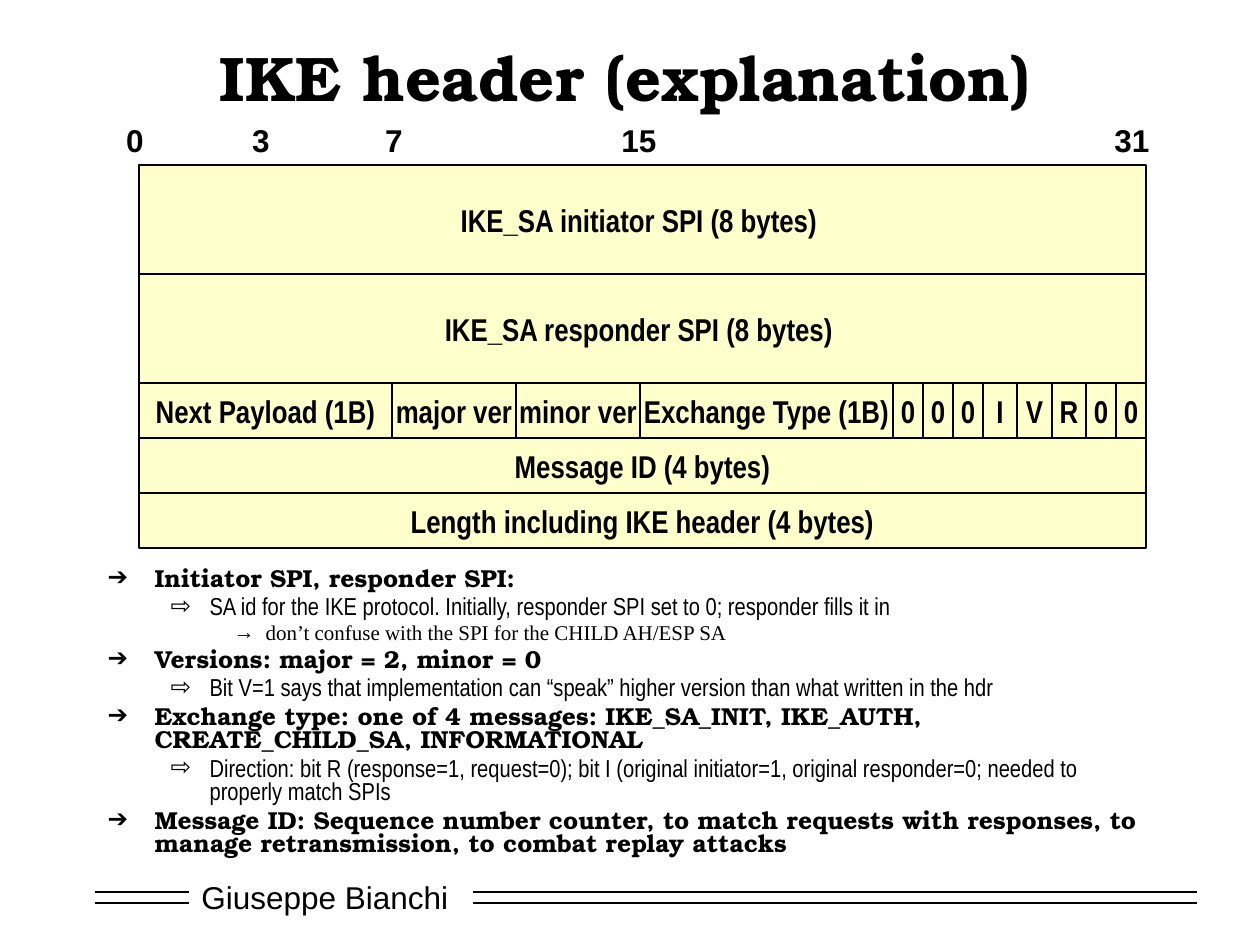
from dataclasses import dataclass
from itertools import accumulate

from lxml import etree
from pptx import Presentation
from pptx.dml.color import RGBColor
from pptx.enum.shapes import MSO_CONNECTOR, MSO_SHAPE
from pptx.enum.text import MSO_ANCHOR, MSO_AUTO_SIZE, PP_ALIGN
from pptx.oxml.ns import qn
from pptx.util import Emu, Pt

RECT = MSO_SHAPE.RECTANGLE
LINE = MSO_CONNECTOR.STRAIGHT
MID, TOP = MSO_ANCHOR.MIDDLE, MSO_ANCHOR.TOP
CENTER, LEFT = PP_ALIGN.CENTER, PP_ALIGN.LEFT
FIXED = MSO_AUTO_SIZE.NONE
SCALE = 914400 / 126


@dataclass(frozen=True)
class Theme:
    ink: str = "000000"
    paper: str = "FFFFFF"
    cell: str = "FFFF99"
    alpha: int = 50000
    serif: str = "TeX Gyre Bonum"
    sans: str = "Arial"
    narrow: str = "Arial Narrow"
    roman: str = "Times New Roman"
    head: int = 36
    label: int = 18
    body: int = 14
    small: int = 12


THEME = Theme()

LEVELS = [
    ("➔", 47, 47, THEME.serif, THEME.body, True),
    ("⇨", 102, 39, THEME.narrow, THEME.body, False),
    ("→", 158, 32, THEME.roman, THEME.small, False),
]

NOTES = [
    (0, "Initiator SPI, responder SPI:"),
    (1, "SA id for the IKE protocol. Initially, responder SPI set to 0; responder fills it in"),
    (2, "don’t confuse with the SPI for the CHILD AH/ESP SA"),
    (0, "Versions: major = 2, minor = 0"),
    (1, "Bit V=1 says that implementation can “speak” higher version than what written in the hdr"),
    (0, "Exchange type: one of 4 messages: IKE_SA_INIT, IKE_AUTH, "
        "CREATE_CHILD_SA, INFORMATIONAL"),
    (1, "Direction: bit R (response=1, request=0); bit I (original initiator=1, "
        "original responder=0; needed to properly match SPIs"),
    (0, "Message ID: Sequence number counter, to match requests with responses, "
        "to manage retransmission, to combat replay attacks"),
]

GRID_X, GRID_Y, GRID_W = 139, 165, 1007
ROWS = [
    (109, [("IKE_SA initiator SPI (8 bytes) ", GRID_W)]),
    (109, [("IKE_SA responder SPI (8 bytes) ", GRID_W)]),
    (55, [("Next Payload (1B)", 253), ("major ver", 124), ("minor ver", 124),
          ("Exchange Type (1B)", 253), ("0", 30), ("0", 30), ("0", 30),
          ("I", 34), ("V", 35), ("R", 34), ("0", 30), ("0", 30)]),
    (55, [("Message ID (4 bytes)", GRID_W)]),
    (55, [("Length including IKE header (4 bytes)", GRID_W)]),
]
BITS = [("0", 135), ("3", 261), ("7", 394), ("15", 639), ("31", 1132)]


def px(*nums):
    return [Emu(round(n * SCALE)) for n in nums]


def color(code):
    return RGBColor.from_string(code)


def add_run(para, text, font, size, bold=False):
    run = para.add_run()
    run.text = text
    run.font.name = font
    run.font.size = Pt(size)
    run.font.bold = bold
    run.font.color.rgb = color(THEME.ink)


def set_frame(shape, anchor, wrap):
    frame = shape.text_frame
    frame.auto_size = FIXED
    frame.vertical_anchor = anchor
    frame.word_wrap = wrap
    return frame


def place(shape, *box):
    shape.left, shape.top, shape.width, shape.height = px(*box)


def add_title(slide, text):
    title = slide.shapes.title
    place(title, 95, 31, 1061, 90)
    para = set_frame(title, MID, True).paragraphs[0]
    para.alignment = CENTER
    add_run(para, text, THEME.serif, THEME.head, True)


def add_rect(slide, box, fill):
    rect = slide.shapes.add_shape(RECT, *px(*box))
    rect.shadow.inherit = False
    rect.fill.solid()
    rect.fill.fore_color.rgb = color(fill)
    return rect


def add_cell(slide, box, text):
    cell = add_rect(slide, box, THEME.cell)
    tint = cell._element.spPr.find(".//" + qn("a:srgbClr"))
    etree.SubElement(tint, qn("a:alpha"), val=str(THEME.alpha))
    cell.line.color.rgb = color(THEME.ink)
    cell.line.width = Pt(1)
    para = set_frame(cell, MID, False).paragraphs[0]
    para.alignment = CENTER
    add_run(para, text, THEME.narrow, THEME.label, True)


def add_grid(slide):
    tops = accumulate((high for high, _ in ROWS), initial=GRID_Y)
    for top, (high, cells) in zip(tops, ROWS):
        lefts = accumulate((wide for _, wide in cells), initial=GRID_X)
        for left, (text, wide) in zip(lefts, cells):
            add_cell(slide, (left, top, wide, high), text)


def add_bit(slide, text, mid):
    wide = 25 + 18 * len(text)
    box = slide.shapes.add_textbox(*px(mid - wide / 2, 115, wide, 50))
    para = set_frame(box, TOP, False).paragraphs[0]
    para.alignment = CENTER
    add_run(para, text, THEME.sans, THEME.label, True)


def add_note(para, level, text):
    mark, left, hang, font, size, bold = LEVELS[level]
    para.level = level
    para.alignment = LEFT
    para.line_spacing = 0.8
    para.space_before = Pt(0.2 * size)
    para.space_after = Pt(0)
    props = para._p.get_or_add_pPr()
    margin, indent = px(left, -hang)
    props.set("marL", str(margin))
    props.set("indent", str(indent))
    tint = etree.SubElement(props, qn("a:buClr"))
    etree.SubElement(tint, qn("a:srgbClr"), val=THEME.ink)
    etree.SubElement(props, qn("a:buChar"), char=mark)
    add_run(para, text, font, size, bold)


def add_notes(slide):
    body = slide.placeholders[1]
    place(body, 95, 562, 1061, 317)
    frame = set_frame(body, TOP, True)
    for num, (level, text) in enumerate(NOTES):
        para = frame.add_paragraph() if num else frame.paragraphs[0]
        add_note(para, level, text)


def add_rule(slide, start, end, y):
    rule = slide.shapes.add_connector(LINE, *px(start, y, end, y))
    rule.line.color.rgb = color(THEME.ink)
    rule.line.width = Pt(1)
    etree.SubElement(rule._element.spPr, qn("a:effectLst"))


def add_footer(slide, name):
    box = add_rect(slide, (189, 872, 273, 50), THEME.paper)
    box.line.fill.background()
    para = set_frame(box, MID, True).paragraphs[0]
    para.alignment = LEFT
    add_run(para, name, THEME.sans, THEME.label)
    for y in (892, 903):
        add_rule(slide, 95, 189, y)
        add_rule(slide, 473, 1197, y)


def main():
    deck = Presentation()
    deck.slide_width, deck.slide_height = px(1260, 945)
    slide = deck.slides.add_slide(deck.slide_layouts[1])
    add_footer(slide, "Giuseppe Bianchi")
    add_title(slide, "IKE header (explanation)")
    for text, mid in BITS:
        add_bit(slide, text, mid)
    add_grid(slide)
    add_notes(slide)
    deck.save("out.pptx")


if __name__ == "__main__":
    main()
